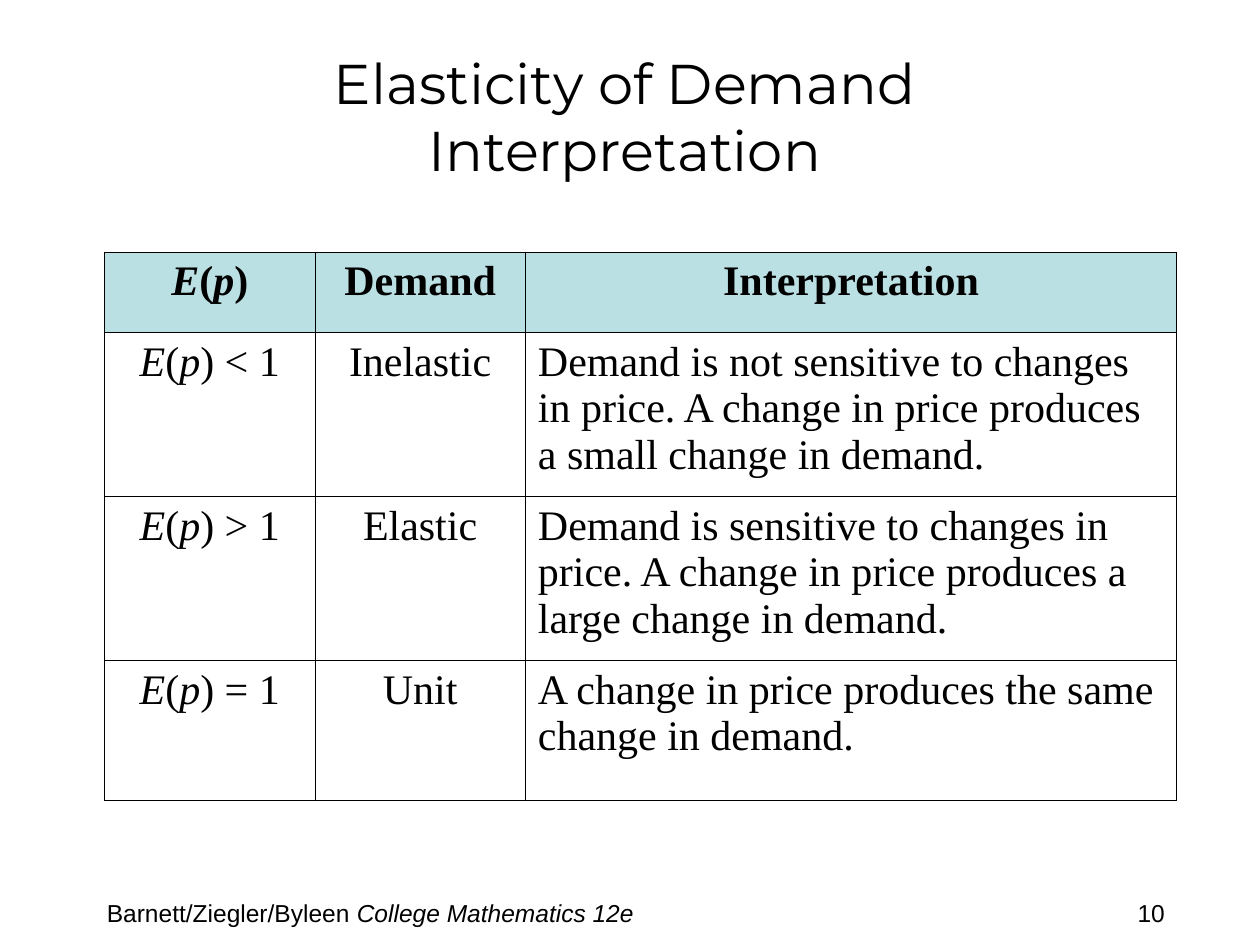
"""Build the slide on how to read elasticity of demand."""
import pptx
import pptx.dml.color
import pptx.enum.text
import pptx.oxml
import pptx.oxml.ns
import pptx.util

INK = pptx.dml.color.RGBColor(0, 0, 0)
HEAD = pptx.dml.color.RGBColor(0xBB, 0xE0, 0xE3)
ALIGN = pptx.enum.text.PP_ALIGN
ANCHOR = pptx.enum.text.MSO_ANCHOR
INCH = pptx.util.Inches

ROWS = [
    ("*E*(*p*)", "Demand", "Interpretation"),
    ("*E*(*p*) < 1", "Inelastic",
     "Demand is not sensitive to changes in price. "
     "A change in price produces a small change in demand."),
    ("*E*(*p*) > 1", "Elastic",
     "Demand is sensitive to changes in price. "
     "A change in price produces a large change in demand."),
    ("*E*(*p*) = 1", "Unit",
     "A change in price produces the same change in demand."),
]
WIDTHS = (1.67, 1.67, 5.17)
HEIGHTS = (0.64, 1.3, 1.3, 1.11)
TITLE = {"name": "Montserrat", "size": pptx.util.Pt(32)}
FOOT = {"name": "Arial", "size": pptx.util.Pt(14)}
BODY = {"name": "Times New Roman", "size": pptx.util.Pt(24)}
BOXES = [
    ("Elasticity of Demand\vInterpretation", (0.25, 0.33, 9.42, 1.17),
     TITLE, ALIGN.CENTER, ANCHOR.MIDDLE),
    ("Barnett/Ziegler/Byleen *College Mathematics 12e*",
     (0.75, 7.08, 5.83, 0.25), FOOT, ALIGN.LEFT, ANCHOR.TOP),
    ("10", (8.93, 7.08, 1.07, 0.34), FOOT, ALIGN.LEFT, ANCHOR.TOP),
]
LINE = ('<a:{} xmlns:a="http://schemas.openxmlformats.org/drawingml/2006/main" '
        'w="{}"><a:solidFill><a:srgbClr val="{}"/></a:solidFill></a:{}>')


def write(frame, text, style, align):
    """Write text whose starred parts are italic."""
    para = frame.paragraphs[0]
    para.alignment = align
    for i, part in enumerate(text.split("*")):
        for j, piece in enumerate(part.split("\v")):
            if j:
                para.add_line_break()
            if piece:
                run = para.add_run()
                run.text = piece
                for key, value in {**style, "italic": i % 2 == 1}.items():
                    setattr(run.font, key, value)
                run.font.color.rgb = INK


def edge(cell):
    """Draw a thin line on all four sides of a cell."""
    props = cell._tc.get_or_add_tcPr()
    for tag in ("lnL", "lnR", "lnT", "lnB"):
        width = pptx.util.Pt(0.45)
        props.append(pptx.oxml.parse_xml(LINE.format(tag, width, INK, tag)))


def add_box(slide, text, place, style, align, anchor):
    """Add one text box."""
    frame = slide.shapes.add_textbox(*map(INCH, place)).text_frame
    frame.word_wrap = True
    frame.vertical_anchor = anchor
    write(frame, text, style, align)


def add_grid(slide):
    """Add the table of demand types."""
    size = (sum(WIDTHS), sum(HEIGHTS))
    grid = slide.shapes.add_table(
        len(ROWS), len(WIDTHS), *map(INCH, (0.83, 2, *size))).table
    grid.horz_banding = False
    for col, width in zip(grid.columns, WIDTHS):
        col.width = INCH(width)
    for r, (row, high) in enumerate(zip(ROWS, HEIGHTS)):
        grid.rows[r].height = INCH(high)
        for c, text in enumerate(row):
            cell = grid.cell(r, c)
            edge(cell)
            if r == 0:
                cell.fill.solid()
                cell.fill.fore_color.rgb = HEAD
            else:
                cell.fill.background()
            align = ALIGN.LEFT if r and c == 2 else ALIGN.CENTER
            write(cell.text_frame, text, {**BODY, "bold": r == 0}, align)


def main():
    """Build and save the deck."""
    deck = pptx.Presentation()
    deck.slide_width, deck.slide_height = INCH(10), INCH(7.5)
    slide = deck.slides.add_slide(deck.slide_layouts[6])
    for box in BOXES:
        add_box(slide, *box)
    add_grid(slide)
    deck.save("out.pptx")


if __name__ == "__main__":
    main()
